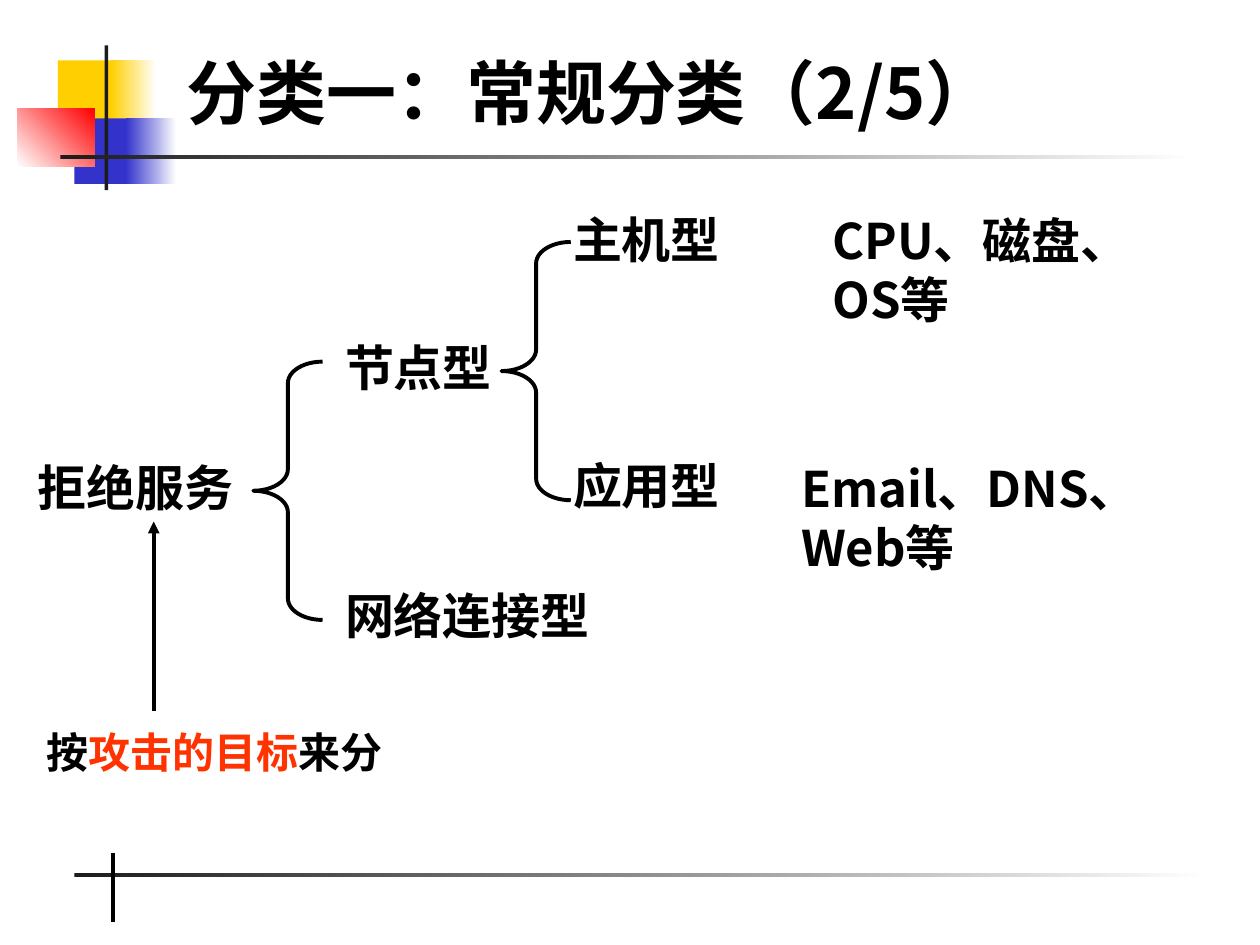
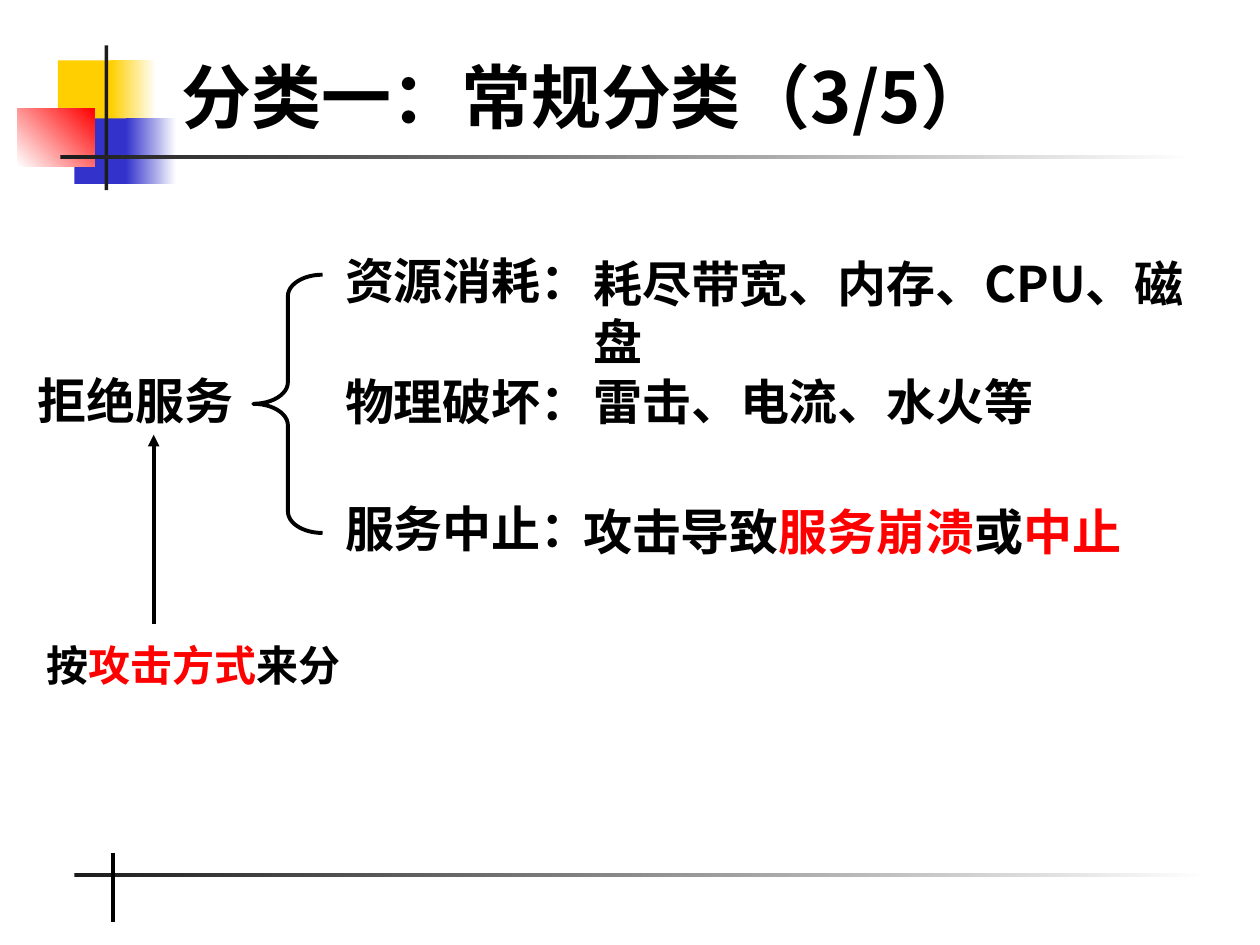
from dataclasses import dataclass

from lxml.etree import SubElement
from pptx import Presentation
from pptx.dml.color import RGBColor
from pptx.enum.shapes import MSO_CONNECTOR, MSO_SHAPE
from pptx.enum.text import MSO_ANCHOR, MSO_AUTO_SIZE, PP_ALIGN
from pptx.oxml.ns import qn
from pptx.util import Inches, Pt


@dataclass(frozen=True)
class Theme:
    font: str = "Noto Sans CJK SC"
    title_size: int = 40
    label_size: int = 28
    basis_size: int = 24
    line_width: float = 2.25
    black: str = "000000"
    white: str = "FFFFFF"
    charcoal: str = "1C1C1C"
    yellow: str = "FFCF01"
    blue: str = "3333CC"
    red: str = "FF0000"
    orange_red: str = "FF3300"


def color(code):
    return RGBColor.from_string(code)


class Deck:
    def __init__(self, theme):
        self.theme = theme
        self.presentation = Presentation()
        self.presentation.slide_width = Inches(10)
        self.presentation.slide_height = Inches(7.5)
        self.layout = self.presentation.slide_layouts[5]
        self.slide = None

    def add_slide(self, title, left, top):
        self.slide = self.presentation.slides.add_slide(self.layout)
        shape = self.slide.shapes.title
        shape.left, shape.top = Inches(left), Inches(top)
        shape.width, shape.height = Inches(7.25), Inches(0.87)
        text_frame = shape.text_frame
        text_frame.text = title
        text_frame.auto_size = MSO_AUTO_SIZE.NONE
        text_frame.vertical_anchor = MSO_ANCHOR.MIDDLE
        paragraph = text_frame.paragraphs[0]
        paragraph.alignment = PP_ALIGN.LEFT
        self.format_run(paragraph.runs[0], self.theme.title_size, self.theme.black)

    def format_run(self, run, size, code):
        font = run.font
        font.size, font.bold, font.name = Pt(size), True, self.theme.font
        font.color.rgb = color(code)
        SubElement(run._r.get_or_add_rPr(), qn("a:ea")).set("typeface", self.theme.font)

    def label(self, left, top, width, *parts, size=None, wrap=False):
        """Add a text box; each part is a string or a (string, colour) pair."""
        size = size or self.theme.label_size
        height = 0.57 if size == self.theme.label_size else 0.5
        box = self.slide.shapes.add_textbox(
            Inches(left), Inches(top), Inches(width), Inches(height))
        box.text_frame.word_wrap = wrap
        paragraph = box.text_frame.paragraphs[0]
        for part in parts:
            text, code = (part, self.theme.black) if isinstance(part, str) else part
            run = paragraph.add_run()
            run.text = text
            self.format_run(run, size, code)

    def block(self, left, top, width, height, start, end=None, angle=0):
        """Add a borderless rectangle, with a gradient if an end colour is given."""
        shape = self.slide.shapes.add_shape(
            MSO_SHAPE.RECTANGLE, Inches(left), Inches(top), Inches(width), Inches(height))
        shape.shadow.inherit = False
        shape.line.fill.background()
        if end:
            shape.fill.gradient()
            shape.fill.gradient_angle = angle
            for stop, code in zip(shape.fill.gradient_stops, (start, end)):
                stop.color.rgb = color(code)
        else:
            shape.fill.solid()
            shape.fill.fore_color.rgb = color(start)
        return shape

    def line(self, left, start, end, arrow=False):
        """Add a vertical line from start to end."""
        connector = self.slide.shapes.add_connector(
            MSO_CONNECTOR.STRAIGHT, Inches(left), Inches(start), Inches(left), Inches(end))
        connector.line.color.rgb = color(self.theme.black)
        connector.line.width = Pt(self.theme.line_width)
        if arrow:
            SubElement(connector.line._get_or_add_ln(), qn("a:tailEnd")).set("type", "triangle")
        SubElement(connector.element.spPr, qn("a:effectLst"))
        return connector

    def brace(self, left, top):
        shape = self.slide.shapes.add_shape(
            MSO_SHAPE.LEFT_BRACE, Inches(left), Inches(top), Inches(0.55), Inches(2.05))
        shape.shadow.inherit = False
        shape.adjustments[0], shape.adjustments[1] = 0.31, 0.5
        shape.fill.background()
        shape.line.color.rgb = color(self.theme.black)
        shape.line.width = Pt(self.theme.line_width)

    def root(self, top, basis_width, basis, highlight):
        """Add the root term, its brace and the arrow from the basis of the split."""
        self.label(0.2, top, 1.76, "拒绝服务")
        self.brace(2.01, top - 0.71)
        self.line(1.22, top + 2.06, top + 0.56, arrow=True)
        self.label(0.27, top + 2.14, basis_width, "按", (basis, highlight), "来分",
                   size=self.theme.basis_size)

    def decorate_layout(self):
        """Draw the shared decoration and move it behind the layout's placeholders."""
        theme = self.theme
        decoration = [
            self.block(0.46, 0.48, 0.48, 0.52, theme.yellow),
            self.block(0.88, 0.48, 0.36, 0.52, theme.yellow, theme.white),
            self.block(0.59, 0.94, 0.46, 0.52, theme.blue),
            self.block(1, 0.94, 0.4, 0.52, theme.blue, theme.white),
            self.block(0.14, 0.86, 0.61, 0.46, theme.white, theme.red, angle=45),
            self.block(0.83, 0.36, 0.03, 1.15, theme.charcoal),
            self.block(0.48, 1.23, 9, 0.03, theme.charcoal, theme.white),
            self.block(0.59, 6.93, 9, 0.03, theme.charcoal, theme.white),
            self.line(0.9, 6.77, 7.32),
        ]
        for position, shape in enumerate(decoration, start=2):
            self.layout.shapes.element.insert(position, shape.element)


def add_target_slide(deck):
    deck.add_slide("分类一：常规分类（2/5）", 1.38, 0.29)
    deck.decorate_layout()
    deck.root(3.58, 2.88, "攻击的目标", deck.theme.orange_red)
    deck.label(2.64, 2.63, 1.37, "节点型")
    deck.label(2.64, 4.6, 2.15, "网络连接型")
    deck.brace(3.98, 1.92)
    deck.label(4.45, 1.61, 1.37, "主机型")
    deck.label(4.45, 3.57, 1.37, "应用型")
    deck.label(6.51, 1.62, 2.9, "CPU、磁盘、OS等", wrap=True)
    deck.label(6.26, 3.59, 3.53, "Email、DNS、Web等", wrap=True)


def add_method_slide(deck):
    red = deck.theme.red
    deck.add_slide("分类一：常规分类（3/5）", 1.34, 0.32)
    deck.root(2.89, 2.55, "攻击方式", red)
    for top, method in ((1.94, "资源消耗："), (2.9, "物理破坏："), (3.91, "服务中止：")):
        deck.label(2.64, top, 2.15, method)
    deck.label(4.61, 1.96, 5.2, "耗尽带宽、内存、CPU、磁盘", wrap=True)
    deck.label(4.61, 2.9, 3.72, "雷击、电流、水火等")
    deck.label(4.53, 3.93, 4.5, "攻击导致", ("服务崩溃", red), "或", ("中止", red))


def main():
    deck = Deck(Theme())
    add_target_slide(deck)
    add_method_slide(deck)
    deck.presentation.save("out.pptx")


if __name__ == "__main__":
    main()
